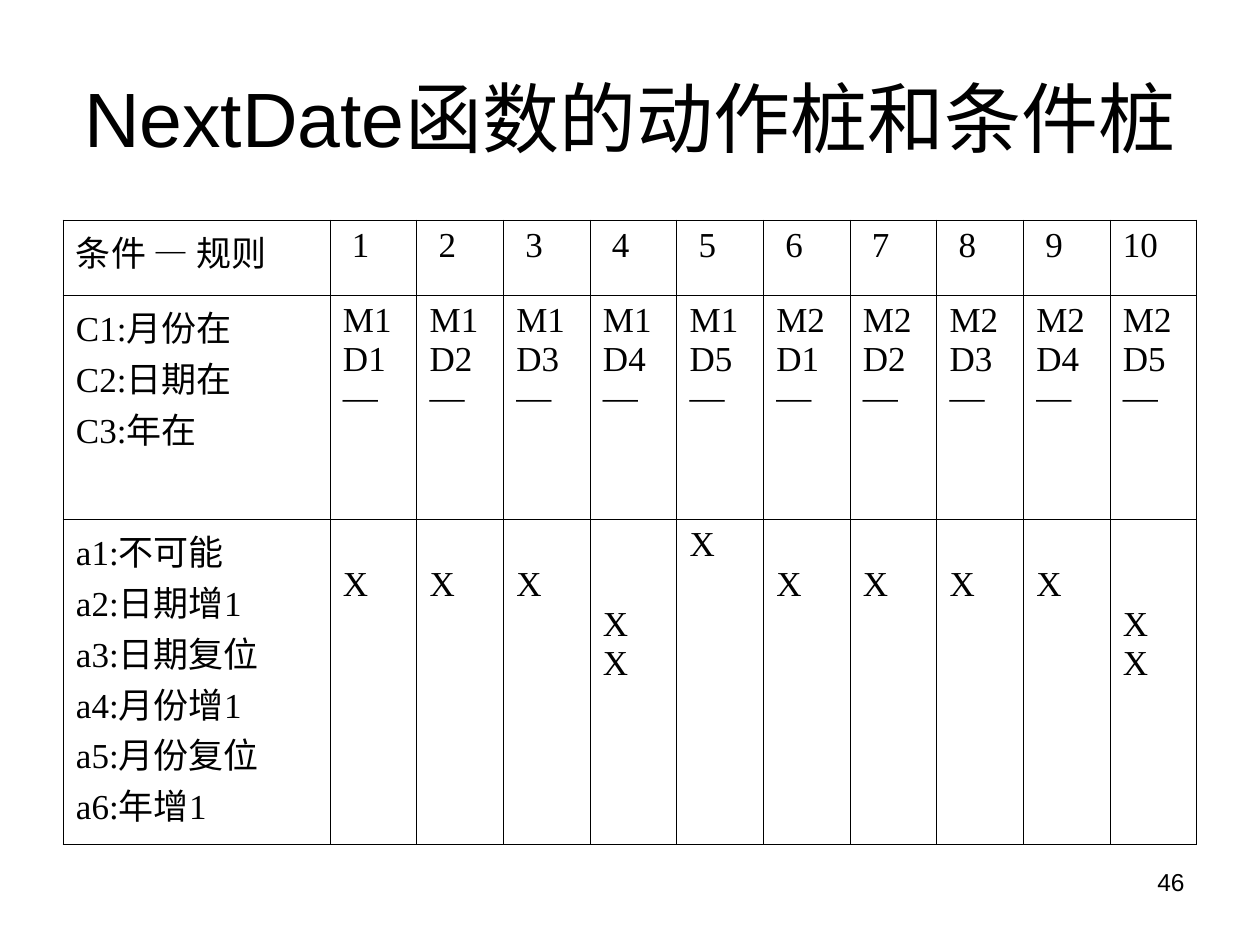
"""Build the NextDate decision table slide."""
from lxml.etree import SubElement
from pptx import Presentation
from pptx.dml.color import RGBColor
from pptx.enum.text import MSO_ANCHOR as Anchor, MSO_AUTO_SIZE as AutoSize, PP_ALIGN as Align
from pptx.oxml.ns import qn
from pptx.util import Emu, Pt

TITLE = "NextDate函数的动作桩和条件桩"
PAGE_NUMBER = "46"
HEADING = "条件 — 规则"
CONDITIONS = ["C1:月份在", "C2:日期在", "C3:年在"]
ACTIONS = ["a1:不可能", "a2:日期增1", "a3:日期复位", "a4:月份增1", "a5:月份复位", "a6:年增1"]
MONTHS = ["M1", "M2"]
DAYS = ["D1", "D2", "D3", "D4", "D5"]
MARKED_ACTIONS = [[2], [2], [2], [3, 4], [1], [2], [2], [2], [2], [3, 4]]

THEME = {
    "ink": "000000", "heading_font": "Arial", "table_font": "Times New Roman",
    "title_size": 44, "table_size": 20, "number_size": 14, "border": 0.45,
}
SLIDE = (1260, 945)
TITLE_BOX = (63, 38, 1134, 157)
NUMBER_BOX = (903, 861, 294, 65)
TABLE_BOX = (63, 220, 1134, 624)
LABEL_WIDTH = 267
ROW_HEIGHTS = [75, 224, 325]
CELL_TOP, CELL_SIDE, HANGING, DIGIT_PAD, MARK_STEP = 6, 13, 48, 9, 40


def px(length):
    return Emu(round(length * 914400 / 126))


def style(para, font, size, align=Align.LEFT):
    para.alignment = align
    para.font.name = font
    para.font.size = Pt(size)
    para.font.color.rgb = RGBColor.from_string(THEME["ink"])


def add_borders(cell):
    props = cell._tc.get_or_add_tcPr()
    for position, side in enumerate(("a:lnL", "a:lnR", "a:lnT", "a:lnB")):
        line = SubElement(props, qn(side), w=str(Pt(THEME["border"])))
        fill = SubElement(line, qn("a:solidFill"))
        SubElement(fill, qn("a:srgbClr"), val=THEME["ink"])
        props.insert(position, line)


def fill_cell(cell, lines, left_pad=0, top_pad=0):
    cell.fill.background()
    add_borders(cell)
    cell.margin_left, cell.margin_right = px(CELL_SIDE + left_pad), px(CELL_SIDE)
    cell.margin_top, cell.margin_bottom = px(CELL_TOP + top_pad), px(CELL_TOP)
    cell.text_frame.text = "\n".join(lines)
    for para in cell.text_frame.paragraphs:
        props = para._p.get_or_add_pPr()
        props.set("marL", str(px(HANGING)))
        props.set("indent", str(-px(HANGING)))
        style(para, THEME["table_font"], THEME["table_size"])


def add_title(page):
    title = page.shapes.title
    title.left, title.top, title.width, title.height = map(px, TITLE_BOX)
    frame = title.text_frame
    frame.text = TITLE
    frame.word_wrap = True
    frame.auto_size = AutoSize.NONE
    frame.vertical_anchor = Anchor.MIDDLE
    style(frame.paragraphs[0], THEME["heading_font"], THEME["title_size"], Align.CENTER)


def add_page_number(page):
    frame = page.shapes.add_textbox(*map(px, NUMBER_BOX)).text_frame
    frame.word_wrap = True
    frame.text = PAGE_NUMBER
    style(frame.paragraphs[0], THEME["heading_font"], THEME["number_size"], Align.RIGHT)


def add_decision_table(page):
    rules = [(month, day) for month in MONTHS for day in DAYS]
    table = page.shapes.add_table(3, len(rules) + 1, *map(px, TABLE_BOX)).table
    table.first_row = table.horz_banding = False
    for row, height in zip(table.rows, ROW_HEIGHTS):
        row.height = px(height)
    rule_width = (TABLE_BOX[2] - LABEL_WIDTH) / len(rules)
    for index, column in enumerate(table.columns):
        column.width = px(rule_width if index else LABEL_WIDTH)

    for row, lines in enumerate(([HEADING], CONDITIONS, ACTIONS)):
        fill_cell(table.cell(row, 0), lines)
    for number, ((month, day), marks) in enumerate(zip(rules, MARKED_ACTIONS), 1):
        fill_cell(table.cell(0, number), [str(number)], left_pad=DIGIT_PAD if number < 10 else 0)
        fill_cell(table.cell(1, number), [month, day, "—"])
        fill_cell(table.cell(2, number), ["X"] * len(marks), top_pad=(marks[0] - 1) * MARK_STEP)


def main():
    deck = Presentation()
    deck.slide_width, deck.slide_height = map(px, SLIDE)
    page = deck.slides.add_slide(deck.slide_layouts[5])
    add_page_number(page)
    add_title(page)
    add_decision_table(page)
    deck.save("out.pptx")


if __name__ == "__main__":
    main()
